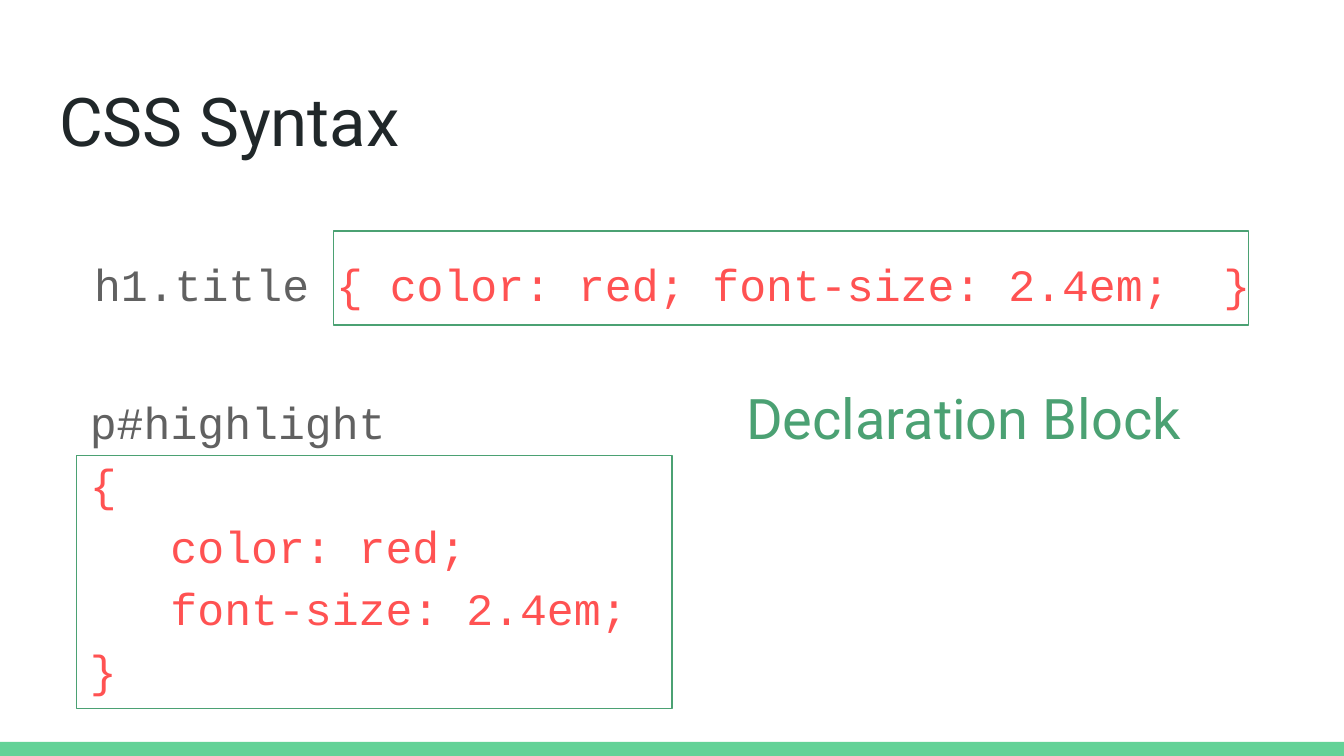
import dataclasses

import pptx
import pptx.dml.color
import pptx.enum.shapes
import pptx.enum.text
import pptx.util

Inches = pptx.util.Inches
ALIGN = pptx.enum.text.PP_ALIGN


@dataclasses.dataclass(frozen=True)
class Theme:
    """Colours, fonts and type sizes of the deck."""
    paper: str = "FFFFFF"
    ink: str = "202729"
    selector: str = "616161"
    declaration: str = "FF5252"
    outline: str = "4BA173"
    bar: str = "63D297"
    sans: str = "Roboto"
    mono: str = "Courier New"
    title_size: int = 36
    label_size: int = 30
    code_size: int = 24
    code_indent: float = 0.6
    line_spacing: float = 1.15


THEME = Theme()


def rgb(value):
    """Turn a hex string into a colour."""
    return pptx.dml.color.RGBColor.from_string(value)


def place(shape, box):
    """Move and size a shape to a box in inches."""
    shape.left, shape.top, shape.width, shape.height = map(Inches, box)


def prepare_frame(frame):
    """Give a text frame even insets, wrapping and a top anchor."""
    frame.word_wrap = True
    frame.auto_size = pptx.enum.text.MSO_AUTO_SIZE.NONE
    frame.vertical_anchor = pptx.enum.text.MSO_ANCHOR.TOP
    frame.margin_left = frame.margin_right = Inches(0.1)
    frame.margin_top = frame.margin_bottom = Inches(0.1)


def style_span(span, font, size, color):
    """Set the font, size and colour of a run."""
    span.font.name = font
    span.font.size = pptx.util.Pt(size)
    span.font.color.rgb = rgb(color)


def add_rectangle(page, box, fill=None, line=None):
    """Add a rectangle that is filled, outlined or both."""
    shape = page.shapes.add_shape(
        pptx.enum.shapes.MSO_SHAPE.RECTANGLE, *map(Inches, box))
    shape.shadow.inherit = False
    if fill:
        shape.fill.solid()
        shape.fill.fore_color.rgb = rgb(fill)
    else:
        shape.fill.background()
    if line:
        shape.line.color.rgb = rgb(line)
        shape.line.width = pptx.util.Pt(0.75)
    else:
        shape.line.fill.background()


def add_text(page, box, lines, font, size, align=ALIGN.LEFT):
    """Add lines given as an indent in inches and (text, colour) spans."""
    frame = page.shapes.add_textbox(*map(Inches, box)).text_frame
    prepare_frame(frame)
    for index, (indent, spans) in enumerate(lines):
        para = frame.add_paragraph() if index else frame.paragraphs[0]
        para.alignment = align
        para.line_spacing = THEME.line_spacing
        if indent:
            para._p.get_or_add_pPr().set("marL", str(Inches(indent)))
        for text, color in spans:
            span = para.add_run()
            span.text = text
            style_span(span, font, size, color)


def add_title(page, box, text):
    """Fill and format the title placeholder."""
    title = page.shapes.title
    place(title, box)
    prepare_frame(title.text_frame)
    title.text_frame.text = text
    para = title.text_frame.paragraphs[0]
    para.alignment = ALIGN.LEFT
    style_span(para.runs[0], THEME.sans, THEME.title_size, THEME.ink)


def add_inline_rule(page, box):
    """Add the one-line rule with its declaration block outlined."""
    left, top, width, height = box
    spans = [("h1.title ", THEME.selector),
             ("{ color: red; font-size: 2.4em;  }", THEME.declaration)]
    add_text(page, box, [(0, spans)], THEME.mono, THEME.code_size, ALIGN.CENTER)
    add_rectangle(page, (left + 2.14, top - 0.03, 6.81, height),
                  line=THEME.outline)


def add_multiline_rule(page, box):
    """Add the rule spread over lines with its declaration block outlined."""
    left, top, width, height = box
    block = [(0, "{"), (THEME.code_indent, "color: red;"),
             (THEME.code_indent, "font-size: 2.4em;"), (0, "}")]
    lines = [(0, [("p#highlight", THEME.selector)])]
    lines += [(indent, [(text, THEME.declaration)]) for indent, text in block]
    add_text(page, box, lines, THEME.mono, THEME.code_size)
    add_rectangle(page, (left, top + 0.61, 4.43, 1.88), line=THEME.outline)


def add_label(page, box, text):
    """Add the centred name of the outlined parts."""
    add_text(page, box, [(0, [(text, THEME.outline)])],
             THEME.sans, THEME.label_size, ALIGN.CENTER)


def main():
    """Build and save the deck."""
    deck = pptx.Presentation()
    deck.slide_width = Inches(10)
    deck.slide_height = deck.slide_width * 9 // 16
    page = deck.slides.add_slide(deck.slide_layouts.get_by_name("Title Only"))
    page.background.fill.solid()
    page.background.fill.fore_color.rgb = rgb(THEME.paper)
    add_rectangle(page, (0, 5.52, 10, 0.11), fill=THEME.bar)
    add_title(page, (0.34, 0.49, 9.32, 0.63), "CSS Syntax")
    add_inline_rule(page, (0.34, 1.75, 9.32, 0.7))
    add_multiline_rule(page, (0.57, 2.78, 4.85, 2.5))
    add_label(page, (5.35, 2.68, 3.64, 0.7), "Declaration Block")
    deck.save("out.pptx")


if __name__ == "__main__":
    main()
